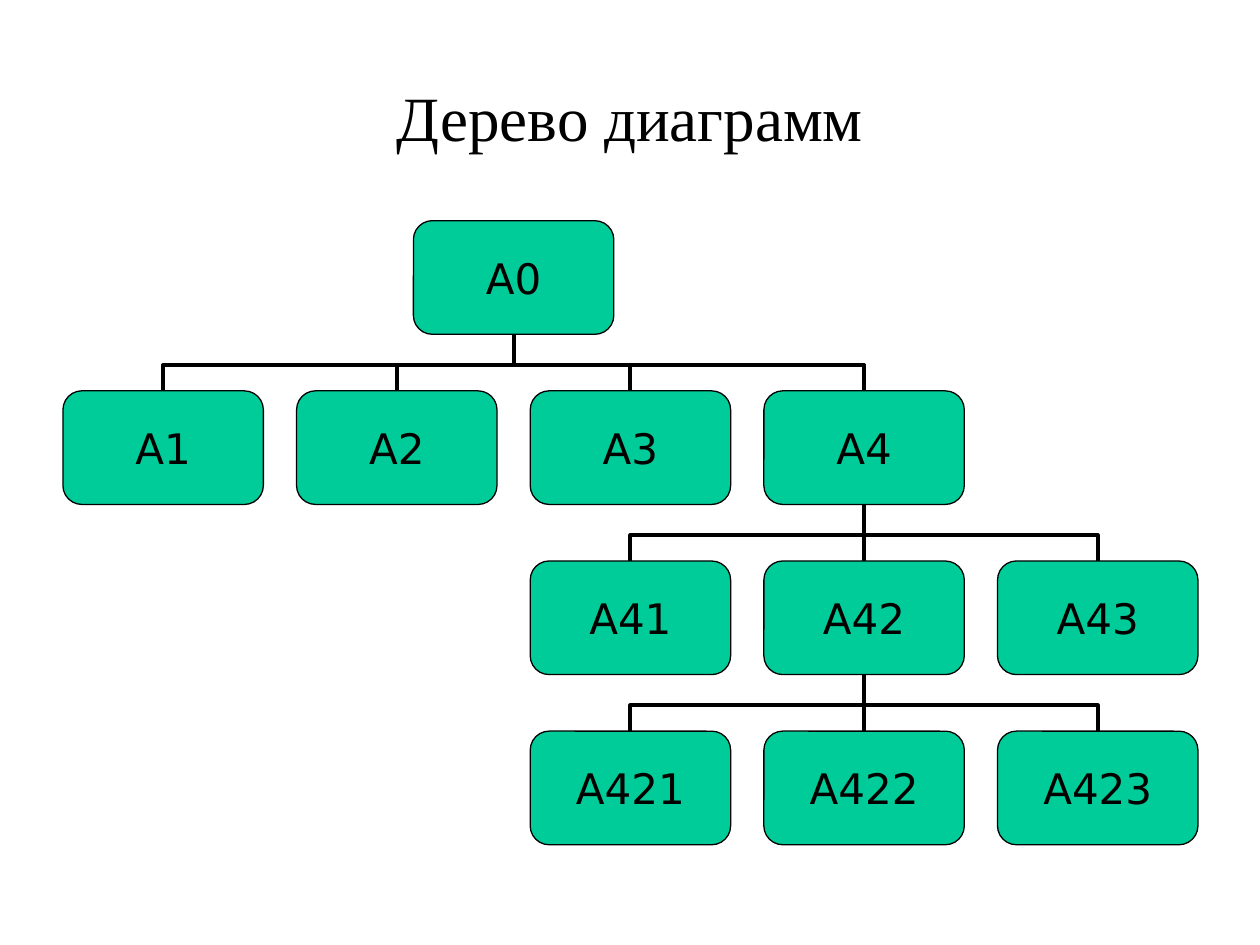
from lxml.etree import SubElement
from pptx import Presentation
from pptx.dml.color import RGBColor
from pptx.enum.shapes import MSO_CONNECTOR, MSO_SHAPE
from pptx.enum.text import MSO_ANCHOR, PP_ALIGN
from pptx.oxml.ns import qn
from pptx.util import Cm, Pt


def color(hex_text):
    return RGBColor.from_string(hex_text)


def format_text(shape, text, font, size):
    frame = shape.text_frame
    frame.text = text
    frame.word_wrap = True
    frame.vertical_anchor = MSO_ANCHOR.MIDDLE
    para = frame.paragraphs[0]
    para.alignment = PP_ALIGN.CENTER
    span = para.runs[0]
    span.font.name = font
    span.font.size = Pt(size)
    span.font.color.rgb = color("000000")


deck = Presentation()
deck.slide_width, deck.slide_height = Cm(25.4), Cm(19.05)
page = deck.slides.add_slide(deck.slide_layouts[5])

# Title
title = page.shapes.title
title.left, title.top, title.width, title.height = Cm(1.27), Cm(0.76), Cm(22.86), Cm(3.18)
format_text(title, "Дерево диаграмм", "Times New Roman", 36)

# Tree: name, parent, column, row
nodes = [
    ("A0", None, 1.5, 0),
    ("A1", "A0", 0, 1), ("A2", "A0", 1, 1), ("A3", "A0", 2, 1), ("A4", "A0", 3, 1),
    ("A41", "A4", 2, 2), ("A42", "A4", 3, 2), ("A43", "A4", 4, 2),
    ("A421", "A42", 2, 3), ("A422", "A42", 3, 3), ("A423", "A42", 4, 3),
]
left, top = Cm(1.27), Cm(4.45)
box_width, box_height = Cm(4.04), Cm(2.29)
column_step, row_step = Cm(4.71), Cm(3.43)

# Boxes
boxes = {}
for name, parent, column, row in nodes:
    box = page.shapes.add_shape(
        MSO_SHAPE.ROUNDED_RECTANGLE, left + int(column * column_step),
        top + row * row_step, box_width, box_height)
    box.shadow.inherit = False
    box.fill.solid()
    box.fill.fore_color.rgb = color("00CC99")
    box.line.color.rgb = color("000000")
    box.line.width = Pt(0.75)
    frame = box.text_frame
    frame.margin_left = frame.margin_right = frame.margin_top = frame.margin_bottom = 0
    format_text(box, name, "DejaVu Sans", 24)
    boxes[name] = box

# Connectors from each child's top to its parent's bottom
for name, parent, column, row in nodes[1:]:
    child, owner = boxes[name], boxes[parent]
    child_x = child.left + box_width // 2
    owner_x = owner.left + box_width // 2
    owner_y = owner.top + box_height
    if child_x == owner_x:
        link = page.shapes.add_connector(
            MSO_CONNECTOR.STRAIGHT, child_x, child.top, owner_x, owner_y)
        link.begin_connect(child, 0)
        link.end_connect(owner, 2)
    else:
        # An elbow runs sideways, so lay it flat around its centre and turn it
        middle_x, middle_y = (child_x + owner_x) // 2, (child.top + owner_y) // 2
        half_height = abs(child_x - owner_x) // 2
        half_width = (child.top - owner_y) // 2
        on_right = child_x > owner_x
        if on_right:
            half_width = -half_width
        link = page.shapes.add_connector(
            MSO_CONNECTOR.ELBOW, middle_x - half_width, middle_y - half_height,
            middle_x + half_width, middle_y + half_height)
        properties = link._element.spPr
        properties.find(qn("a:xfrm")).set("rot", str((90 if on_right else 270) * 60000))
        bend = SubElement(properties.find(".//" + qn("a:avLst")), qn("a:gd"))
        bend.set("name", "adj1")
        bend.set("fmla", "val 45800")
    link.line.color.rgb = color("000000")
    link.line.width = Pt(2.25)
    SubElement(link._element.spPr, qn("a:effectLst"))
    # Keep the lines behind the boxes
    boxes["A0"]._element.addprevious(link._element)

deck.save("out.pptx")
